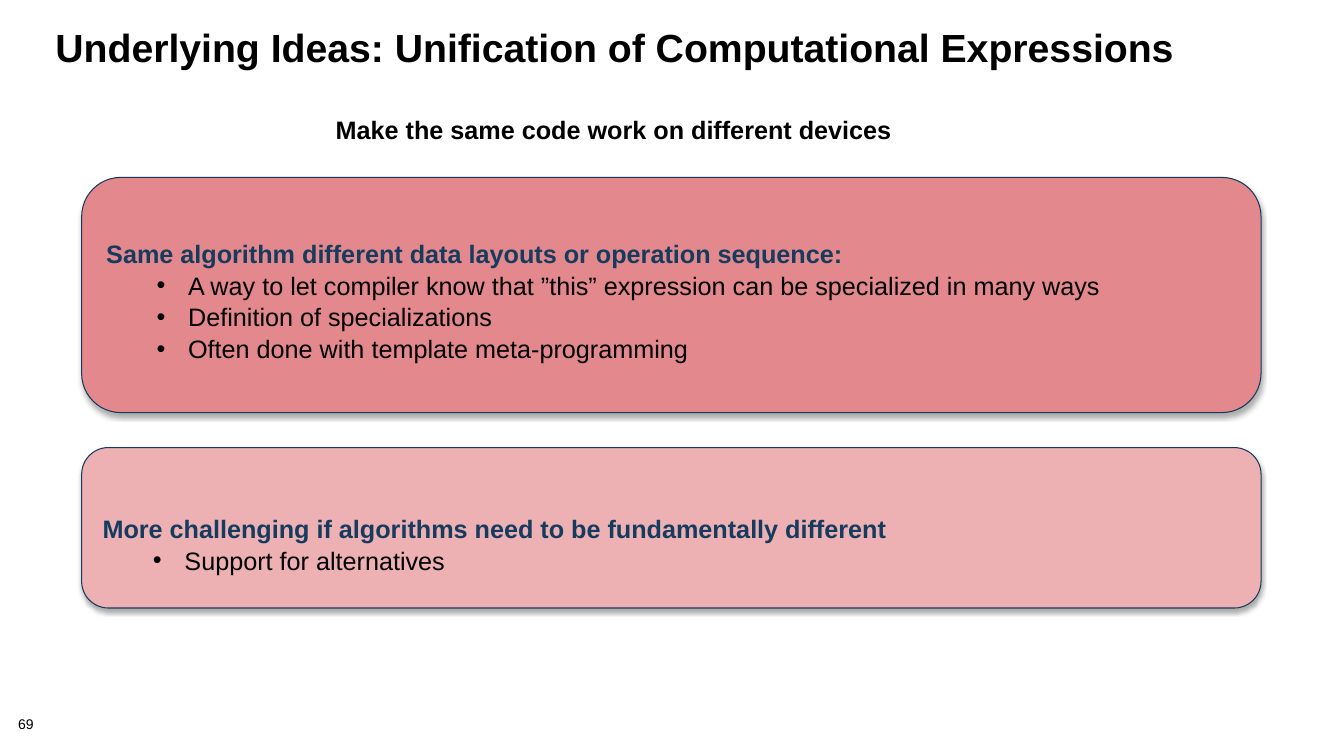
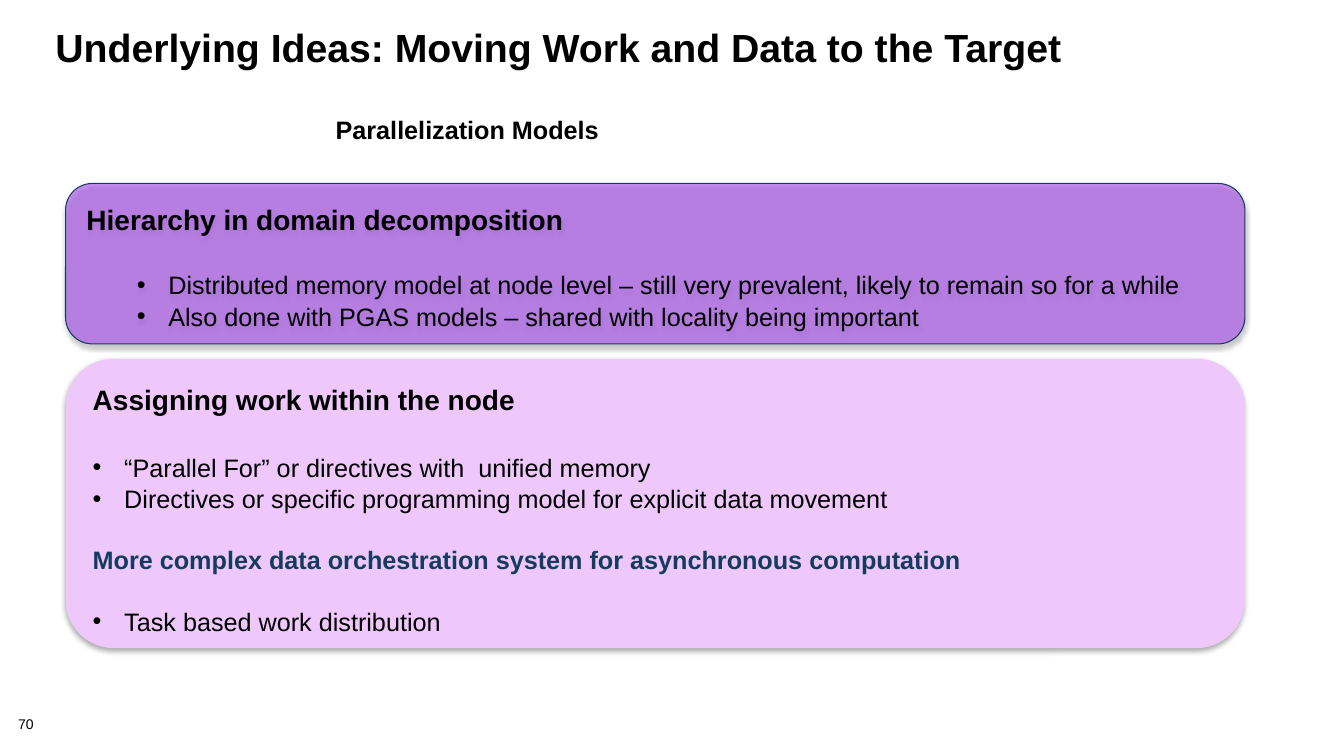
from lxml.etree import SubElement
from pptx import Presentation
from pptx.dml.color import RGBColor
from pptx.enum.shapes import MSO_SHAPE
from pptx.enum.text import MSO_ANCHOR, MSO_AUTO_SIZE, PP_ALIGN
from pptx.oxml.ns import qn
from pptx.util import Inches, Pt

COLORS = {
    "text": "000000", "accent": "153B5E",
    "rose": "E3888C", "pale rose": "EDB0B3",
    "violet": "A952EE", "pale violet": "EEC8FA",
}
FONT = "Arial"

deck = Presentation()
deck.slide_width = Inches(13.33)
deck.slide_height = Inches(7.5)
COLUMN = deck.slide_width / 160
ROW = deck.slide_height / 90
PANEL_WIDTH = 140.4
HANGING = 3.75

# Text lines: (style, text, space before in points)
STYLES = {  # size, bold, colour, bullet indent in columns
    "heading": (20, True, "text", 0),
    "lead": (18, True, "accent", 0),
    "nested": (18, False, "text", 9.75),
    "bullet": (18, False, "text", HANGING),
}
SLIDES = [
    {
        "number": "69",
        "title": "Underlying Ideas: Unification of Computational Expressions",
        "subtitle": "Make the same code work on different devices",
        "subtitle width": 70,
        "left": 9.72,
        "panels": [
            {"top": 21.12, "height": 28, "fill": "rose", "opacity": 100,
             "outlined": True, "inset": 5.9, "lines": [
                 ("lead", "Same algorithm different data layouts or operation sequence:", 0),
                 ("nested", "A way to let compiler know that ”this” expression can be "
                            "specialized in many ways", 1),
                 ("nested", "Definition of specializations", 1),
                 ("nested", "Often done with template meta-programming", 1)]},
            {"top": 53.28, "height": 19.1, "fill": "pale rose", "opacity": 100,
             "outlined": True, "inset": 6.9, "lines": [
                 ("lead", "More challenging if algorithms need to be fundamentally different", 0),
                 ("nested", "Support for alternatives", 1)]},
        ],
    },
    {
        "number": "70",
        "title": "Underlying Ideas: Moving Work and Data to the Target",
        "subtitle": "Parallelization Models",
        "subtitle width": 34.8,
        "left": 7.8,
        "panels": [
            {"top": 21.84, "height": 19.1, "fill": "violet", "opacity": 63,
             "outlined": True, "inset": 1.3, "lines": [
                 ("heading", "Hierarchy in domain decomposition", 0),
                 ("nested", "Distributed memory model at node level – still very prevalent, "
                            "likely to remain so for a while", 24),
                 ("nested", "Also done with PGAS models – shared with locality being important", 1)]},
            {"top": 42.72, "height": 34.44, "fill": "pale violet", "opacity": 100,
             "outlined": False, "inset": 1.1, "lines": [
                 ("heading", "Assigning work within the node", 0),
                 ("bullet", "“Parallel For” or directives with  unified memory", 26),
                 ("bullet", "Directives or specific programming model for explicit data movement", 1),
                 ("lead", "More complex data orchestration system for asynchronous computation", 22),
                 ("bullet", "Task based work distribution", 22)]},
        ],
    },
]


def write(para, text, size, bold, color):
    para.text = text
    para.alignment = PP_ALIGN.LEFT
    for span in para.runs:
        span.font.name = FONT
        span.font.size = Pt(size)
        span.font.bold = bold
        span.font.color.rgb = RGBColor.from_string(COLORS[color])


def set_frame(box, left, top):
    """Anchor the text at the top with equal side and equal vertical margins."""
    frame = box.text_frame
    frame.auto_size = MSO_AUTO_SIZE.NONE
    frame.vertical_anchor = MSO_ANCHOR.TOP
    frame.margin_left = frame.margin_right = int(left * COLUMN)
    frame.margin_top = frame.margin_bottom = int(top * ROW)
    frame.word_wrap = True
    return frame


for content in SLIDES:
    page = deck.slides.add_slide(deck.slide_layouts[5])

    title = page.shapes.title
    title.left, title.top = int(5.4 * COLUMN), int(3 * ROW)
    title.width, title.height = int(149.3 * COLUMN), int(12 * ROW)
    para = set_frame(title, 1.2, 0.6).paragraphs[0]
    write(para, content["title"], 28, True, "text")
    para.line_spacing = 0.85

    subtitle = page.shapes.add_textbox(
        int(38.4 * COLUMN), int(12.84 * ROW),
        int(content["subtitle width"] * COLUMN), int(9 * ROW))
    frame = set_frame(subtitle, 1.56, 1.2)
    frame.word_wrap = False
    write(frame.paragraphs[0], content["subtitle"], 18, True, "text")
    frame.paragraphs[0].line_spacing = 0.9

    number = page.shapes.add_textbox(
        int(2.16 * COLUMN), int(85.44 * ROW), int(6.72 * COLUMN), int(1.92 * ROW))
    para = set_frame(number, 0, 0).paragraphs[0]
    write(para, content["number"], 10, False, "text")
    para.line_spacing = 0.9

    for panel in content["panels"]:
        box = page.shapes.add_shape(
            MSO_SHAPE.ROUNDED_RECTANGLE,
            int(content["left"] * COLUMN), int(panel["top"] * ROW),
            int(PANEL_WIDTH * COLUMN), int(panel["height"] * ROW))
        box.fill.solid()
        box.fill.fore_color.rgb = RGBColor.from_string(COLORS[panel["fill"]])
        if panel["opacity"] < 100:
            fill_color = box.fill._xPr.find(qn("a:solidFill"))[0]
            SubElement(fill_color, qn("a:alpha"), val=str(panel["opacity"] * 1000))
        if panel["outlined"]:
            box.line.color.rgb = RGBColor.from_string(COLORS["accent"])
            box.line.width = Pt(0.75)
        else:
            box.line.fill.background()

        box.shadow.inherit = False
        effects = box._element.spPr.find(qn("a:effectLst"))
        shadow = SubElement(effects, qn("a:outerShdw"), blurRad=str(Pt(3.5)),
                            dist=str(Pt(2.2)), dir="5400000", rotWithShape="0")
        shadow_color = SubElement(shadow, qn("a:srgbClr"), val="000000")
        SubElement(shadow_color, qn("a:alpha"), val="32000")

        frame = set_frame(box, 1.56, panel["inset"])
        for index, (style, text, gap) in enumerate(panel["lines"]):
            para = frame.add_paragraph() if index else frame.paragraphs[0]
            size, bold, color, indent = STYLES[style]
            if indent:
                properties = para._p.get_or_add_pPr()
                properties.set("marL", str(int(indent * COLUMN)))
                properties.set("indent", str(int(-HANGING * COLUMN)))
                SubElement(properties, qn("a:buFont"), typeface=FONT)
                SubElement(properties, qn("a:buChar"), char="•")
            write(para, text, size, bold, color)
            if gap:
                para.space_before = Pt(gap)

deck.save("out.pptx")
